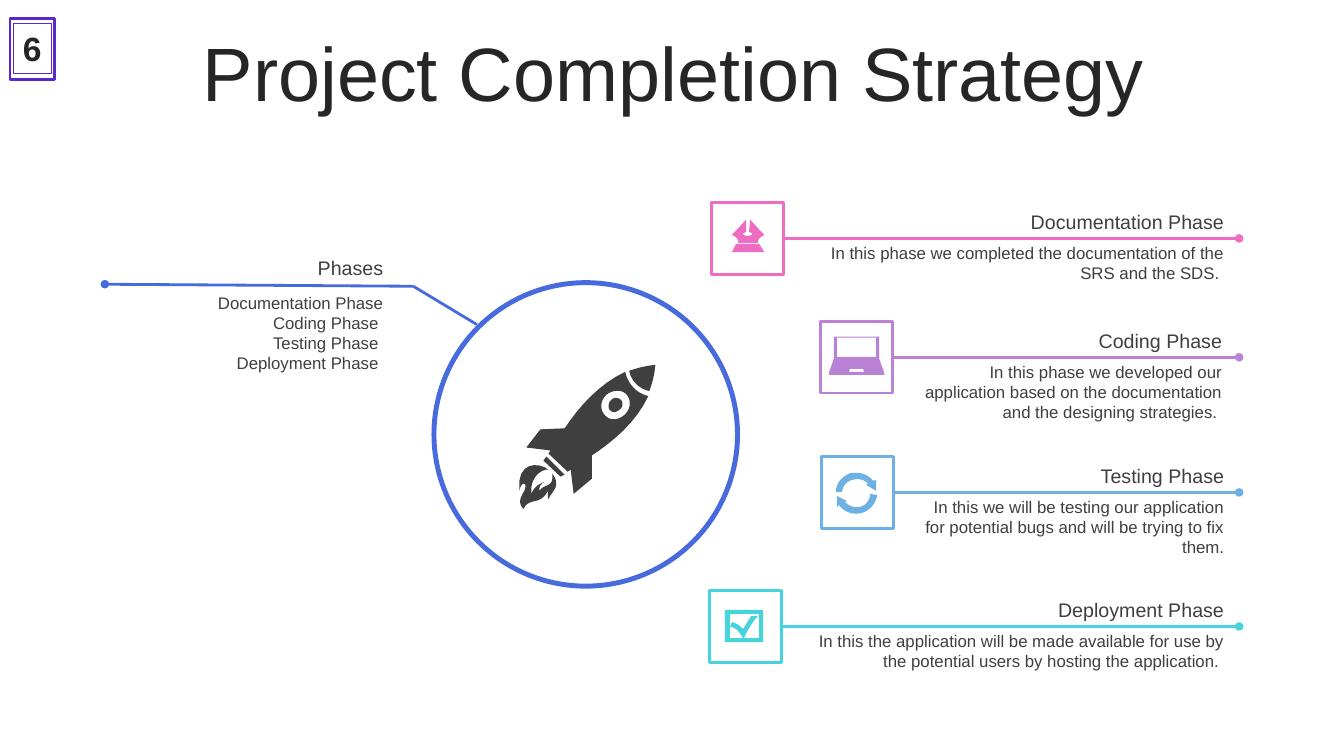
from lxml import etree
from pptx import Presentation
from pptx.dml.color import RGBColor
from pptx.enum.shapes import MSO_CONNECTOR, MSO_SHAPE
from pptx.enum.text import MSO_ANCHOR, PP_ALIGN
from pptx.oxml.ns import qn
from pptx.util import Inches, Pt

STRAIGHT = MSO_CONNECTOR.STRAIGHT
RECTANGLE, DONUT = MSO_SHAPE.RECTANGLE, MSO_SHAPE.DONUT
TOP, MIDDLE = MSO_ANCHOR.TOP, MSO_ANCHOR.MIDDLE
CENTER, RIGHT = PP_ALIGN.CENTER, PP_ALIGN.RIGHT

BLUE, PURPLE, DARK, GRAY = "476ADD", "5A28C8", "262626", "3F3F3F"
PINK, VIOLET, SKY, TEAL = "EE6CC1", "B982D5", "6DB0E4", "47D3DC"
BOX_SIZE = 0.71
LINE_END = 12.29
CURVE_STEPS = 8
UNITS_PER_INCH = 1000

# Icon contours in slide inches: a start point, then L for lines and C for cubic curves
ROCKET = [
    """5.44,4.66 C 5.37,4.65 5.25,4.74 5.27,4.9 5.31,4.81 5.36,4.8 5.4,4.78
    5.39,4.79 5.34,4.81 5.35,4.87 5.4,4.79 5.49,4.85 5.48,4.7
    5.57,4.83 5.48,4.86 5.44,4.95 5.42,4.93 5.45,4.85 5.43,4.88
    5.35,5.02 5.25,4.93 5.19,5.05 5.1,4.95 5.23,4.88 5.21,4.81
    5.2,4.79 5.17,4.79 5.15,4.87 5.12,4.58 5.34,4.58 5.44,4.66""",
    "5.42,4.53 L 5.6,4.71 C 5.58,4.72 5.57,4.72 5.56,4.73 L 5.39,4.57",
    """6.16,3.97 C 6.18,3.99 6.18,4.04 6.15,4.06 6.12,4.09 6.08,4.1 6.05,4.07
    6.03,4.05 6.03,4 6.06,3.97 6.09,3.94 6.13,3.94 6.16,3.97""",
    """6.21,3.91 C 6.16,3.86 6.07,3.87 6.01,3.92 5.95,3.98 5.95,4.07 6,4.12
    6.05,4.18 6.14,4.17 6.2,4.11 6.26,4.05 6.26,3.96 6.21,3.91""",
    """6.2,3.69 C 6.23,3.81 6.31,3.9 6.43,3.93 6.31,4.19 6.08,4.38 5.87,4.52
    L 5.87,4.75 5.69,4.9 5.66,4.66 5.63,4.68 5.44,4.5 C 5.45,4.49 5.45,4.48 5.46,4.47
    L 5.22,4.44 5.36,4.26 5.59,4.25 5.6,4.25 C 5.74,4.04 5.94,3.81 6.2,3.69""",
    """6.5,3.62 C 6.49,3.72 6.47,3.8 6.44,3.88 6.34,3.86 6.26,3.78 6.24,3.68
    6.32,3.65 6.41,3.63 6.5,3.62""",
]
PEN = [
    "7.53,2.42 L 7.3,2.42 7.26,2.5 7.58,2.5",
    """7.44,2.18 C 7.44,2.22 7.43,2.26 7.43,2.3 7.45,2.31 7.46,2.31 7.46,2.32
    7.46,2.33 7.44,2.34 7.42,2.34 7.39,2.34 7.37,2.33 7.37,2.32
    7.37,2.31 7.39,2.31 7.4,2.3 L 7.4,2.18 7.26,2.33 C 7.32,2.36 7.33,2.39 7.32,2.41
    L 7.52,2.41 C 7.51,2.38 7.52,2.37 7.58,2.33 7.53,2.28 7.49,2.23 7.44,2.18""",
]
LAPTOP = [
    "8.43,3.66 L 8.42,3.69 8.57,3.69 8.56,3.66",
    "8.3,3.35 L 8.3,3.54 8.69,3.54 8.69,3.35",
    "8.27,3.34 L 8.72,3.34 8.72,3.56 8.77,3.7 8.77,3.72 8.22,3.72 8.22,3.7 8.27,3.56",
]
CYCLE = [
    """8.63,4.9 L 8.7,4.91 C 8.69,4.99 8.63,5.07 8.54,5.09 8.46,5.11 8.37,5.08 8.32,5.01
    L 8.3,5.03 8.3,4.92 8.4,4.97 8.38,4.98
    C 8.42,5.02 8.47,5.04 8.53,5.03 8.59,5.01 8.63,4.96 8.63,4.9""",
    """8.49,4.69 C 8.56,4.69 8.62,4.72 8.66,4.77 L 8.69,4.76 8.69,4.87 8.59,4.81 8.61,4.8
    C 8.57,4.76 8.52,4.74 8.46,4.76 8.4,4.77 8.36,4.82 8.35,4.88
    L 8.29,4.88 C 8.29,4.79 8.36,4.72 8.44,4.69 8.46,4.69 8.48,4.69 8.49,4.69""",
]
CHECK = [
    """7.24,6.09 L 7.24,6.33 7.37,6.33 C 7.34,6.29 7.31,6.22 7.24,6.22
    L 7.26,6.17 C 7.32,6.19 7.34,6.21 7.37,6.24 7.4,6.19 7.42,6.16 7.45,6.11
    L 7.52,6.11 C 7.46,6.17 7.41,6.26 7.38,6.33 L 7.53,6.33 7.53,6.09""",
    "7.19,6.05 L 7.57,6.05 7.57,6.37 7.19,6.37",
]

# Box left, box top, colour, text right edge, text width, heading, description
PHASES = [
    (7.06, 2.01, PINK, 12.24, 4.43, "Documentation Phase",
     "In this phase we completed the documentation of the SRS and the SDS. "),
    (8.14, 3.19, VIOLET, 12.22, 3.27, "Coding Phase",
     "In this phase we developed our application based on the documentation "
     "and the designing strategies. "),
    (8.15, 4.53, SKY, 12.24, 3.27, "Testing Phase",
     "In this we will be testing our application for potential bugs and will be "
     "trying to fix them."),
    (7.04, 5.86, TEAL, 12.24, 4.43, "Deployment Phase",
     "In this the application will be made available for use by the potential users "
     "by hosting the application. "),
]


def paint(shape, fill=None, outline=None, width=2, oval_end=None):
    """Set fill, outline and an optional oval line end, without a shadow."""
    if fill:
        shape.fill.solid()
        shape.fill.fore_color.rgb = RGBColor.from_string(fill)
    if outline:
        shape.line.color.rgb = RGBColor.from_string(outline)
        shape.line.width = Pt(width)
    else:
        shape.line.fill.background()
    properties = shape._element.spPr
    if oval_end:
        etree.SubElement(properties.find(qn("a:ln")), qn(oval_end), type="oval")
    etree.SubElement(properties, qn("a:effectLst"))


def add_text(text, left, top, width, height, size=12, color=GRAY, bold=False,
             align=RIGHT, anchor=TOP, side_inset=0.1, line_spacing=None):
    box = slide.shapes.add_textbox(Inches(left), Inches(top), Inches(width), Inches(height))
    frame = box.text_frame
    frame.word_wrap = True
    frame.vertical_anchor = anchor
    frame.margin_left = frame.margin_right = Inches(side_inset)
    frame.text = text
    for para in frame.paragraphs:
        para.alignment = align
        para.line_spacing = line_spacing
        para.font.name = "Arial"
        para.font.size = Pt(size)
        para.font.bold = bold
        para.font.color.rgb = RGBColor.from_string(color)
    return box


deck = Presentation()
deck.slide_width, deck.slide_height = Inches(13.33), Inches(7.5)
slide = deck.slides.add_slide(deck.slide_layouts[6])

# Title
add_text("Project Completion Strategy", 0.35, 0.37, 12.66, 0.79, size=54, color=DARK,
         align=CENTER, anchor=MIDDLE, line_spacing=0.9)

# Central ring
ring = slide.shapes.add_shape(DONUT, Inches(4.28), Inches(2.78), Inches(3.06), Inches(3.06))
ring.adjustments[0] = 0.016
paint(ring, fill=BLUE)

# List of phases with its two-part leader line
add_text("Phases", 1.26, 2.49, 2.64, 0.34, size=14)
add_text("Documentation Phase\nCoding Phase \nTesting Phase \nDeployment Phase ",
         1.26, 2.85, 2.64, 0.91)
leader_points = [(1.04, 2.82), (4.1, 2.84), (4.73, 3.22)]
for start, end, oval_end in zip(leader_points, leader_points[1:], ("a:headEnd", None)):
    leader = slide.shapes.add_connector(STRAIGHT, *map(Inches, start + end))
    paint(leader, outline=BLUE, oval_end=oval_end)

# Phase boxes, lines and texts
for left, top, color, text_right, text_width, heading, description in PHASES:
    box = slide.shapes.add_shape(RECTANGLE, Inches(left), Inches(top),
                                 Inches(BOX_SIZE), Inches(BOX_SIZE))
    paint(box, fill="FFFFFF", outline=color)
    middle = top + BOX_SIZE / 2
    line = slide.shapes.add_connector(STRAIGHT, Inches(left + BOX_SIZE), Inches(middle),
                                      Inches(LINE_END), Inches(middle))
    line.begin_connect(box, 3)
    paint(line, outline=color, oval_end="a:tailEnd")
    text_left = text_right - text_width
    add_text(heading, text_left, top + 0.02, text_width, 0.34, size=14)
    add_text(description, text_left, top + 0.35, text_width, 0.5)

# Icons
for outlines, color in [(ROCKET, GRAY), (PEN, PINK), (LAPTOP, VIOLET),
                        (CYCLE, SKY), (CHECK, TEAL)]:
    contours = []
    for outline in outlines:
        points, controls, command = [], [], "L"
        for token in outline.split():
            if token in ("L", "C"):
                command = token
                continue
            point = tuple(float(value) * UNITS_PER_INCH for value in token.split(","))
            if command == "L":
                points.append(point)
                continue
            controls.append(point)
            if len(controls) == 3:
                curve = [points[-1]] + controls
                for step in range(1, CURVE_STEPS + 1):
                    t = step / CURVE_STEPS
                    weights = ((1 - t) ** 3, 3 * t * (1 - t) ** 2, 3 * t * t * (1 - t), t ** 3)
                    points.append(tuple(
                        sum(weight * knot[axis] for weight, knot in zip(weights, curve))
                        for axis in (0, 1)))
                controls = []
        contours.append(points)
    builder = slide.shapes.build_freeform(*contours[0][0], scale=Inches(1) / UNITS_PER_INCH)
    for number, points in enumerate(contours):
        if number:
            builder.move_to(*points[0])
        builder.add_line_segments(points[1:], close=True)
    paint(builder.convert_to_shape(), fill=color)

# Slide number in a double frame
frame_box = slide.shapes.add_shape(RECTANGLE, Inches(0.1), Inches(0.18),
                                   Inches(0.44), Inches(0.61))
paint(frame_box, fill="FFFFFF", outline=PURPLE)
number_box = add_text("6", 0.13, 0.23, 0.38, 0.5, size=24, color=DARK, bold=True,
                      align=CENTER, side_inset=0.05)
paint(number_box, outline=PURPLE, width=0.75)

deck.save("out.pptx")
